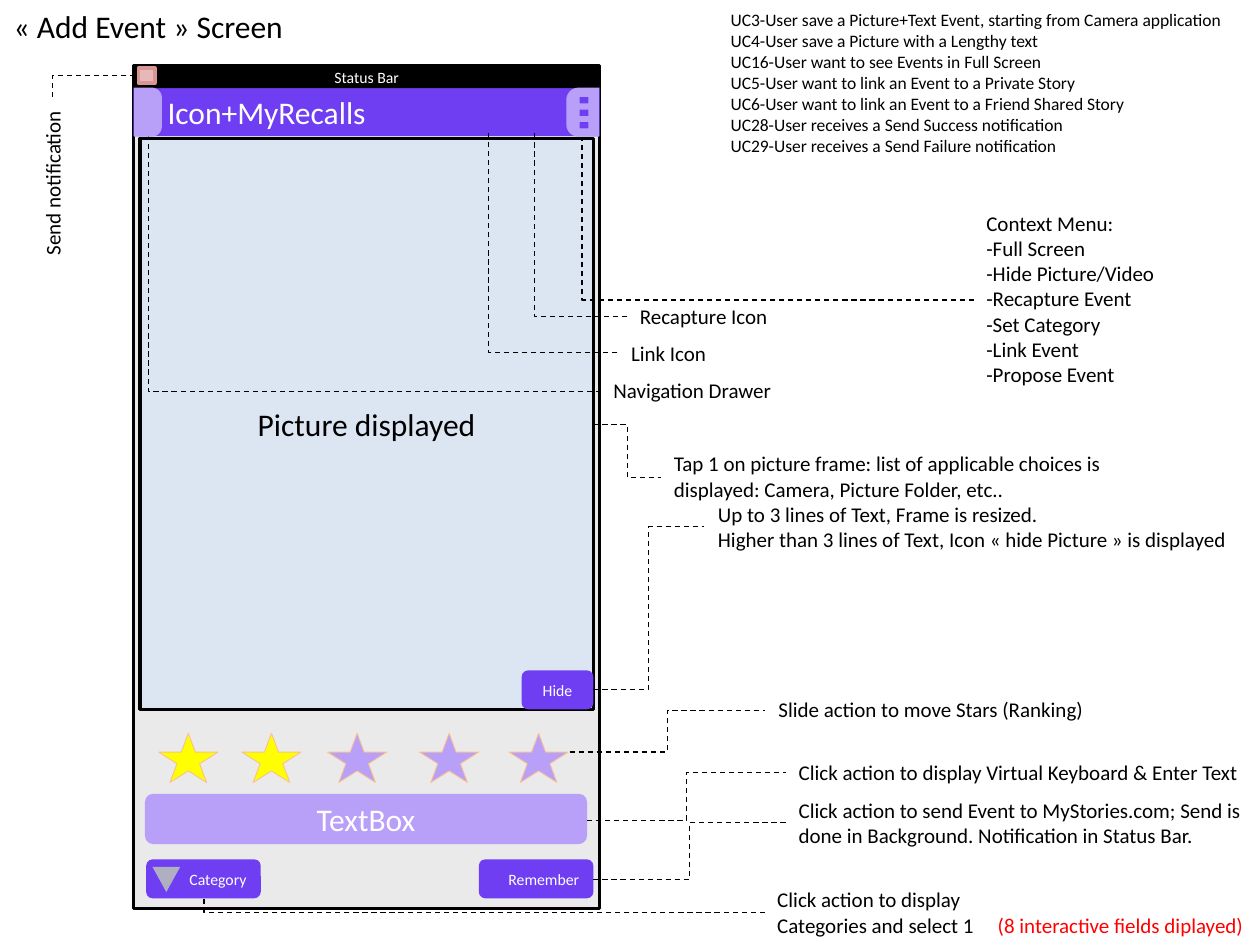
from lxml import etree
from pptx import Presentation
from pptx import util as u
from pptx.dml.color import RGBColor
from pptx.enum import dml, shapes, text
from pptx.oxml.ns import qn

PURPLE, LILAC, BLACK, WHITE = "6F3EF3", "B8A0F9", "000000", "FFFFFF"
SH, AL = shapes.MSO_SHAPE, text.PP_ALIGN
PHONE = (1.06, 0.52, 3.7, 6.69)


def inch(n):
    return u.Cm(n * 2.54)


def rgb(value):
    return RGBColor.from_string(value)


def set_text(tf, lines, size, color, align=AL.LEFT, **frame):
    for name, value in frame.items():
        setattr(tf, name, value)
    for i, line in enumerate(lines):
        p = tf.paragraphs[0] if i == 0 else tf.add_paragraph()
        p.alignment = align
        r = p.add_run()
        r.text = line
        for name, value in {"name": "Calibri", "size": u.Pt(size)}.items():
            setattr(r.font, name, value)
        r.font.color.rgb = rgb(color)


def add_shape(s, kind, box, fill, line=None, adj=None, rotation=0):
    sp = s.shapes.add_shape(kind, *map(inch, box))
    sp.shadow.inherit = False
    sp.rotation = rotation
    sp.fill.solid()
    sp.fill.fore_color.rgb = rgb(fill)
    if line:
        sp.line.color.rgb, sp.line.width = rgb(line[0]), u.Pt(line[1])
    else:
        sp.line.fill.background()
    if adj is not None:
        sp.adjustments[0] = adj
    return sp


def add_panel(s, kind, box, fill, label, size, color=WHITE, align=AL.CENTER,
              line=None, **frame):
    """A shape that carries a label, centred vertically."""
    sp = add_shape(s, kind, box, fill, line)
    set_text(sp.text_frame, [label], size, color, align,
             vertical_anchor=text.MSO_ANCHOR.MIDDLE, **frame)


def add_note(s, box, lines, size=12, color=BLACK, wrap=False, rotation=0):
    sp = s.shapes.add_textbox(*map(inch, box))
    sp.rotation = rotation
    set_text(sp.text_frame, lines, size, color, word_wrap=wrap,
             auto_size=text.MSO_AUTO_SIZE.SHAPE_TO_FIT_TEXT)


def add_leader(s, start, end, corner=False):
    """A dashed elbow line; with corner it bends once, horizontal part first."""
    c = s.shapes.add_connector(shapes.MSO_CONNECTOR.ELBOW,
                               *map(inch, (*start, *end)))
    for name, value in {"width": u.Pt(0.75),
                        "dash_style": dml.MSO_LINE.DASH}.items():
        setattr(c.line, name, value)
    c.line.color.rgb = rgb(BLACK)
    sp_pr = c._element.spPr
    etree.SubElement(sp_pr, qn("a:effectLst"))
    if corner:
        sp_pr.find(qn("a:prstGeom")).set("prst", "bentConnector2")


def draw_phone(s, x, y, w, h):
    add_shape(s, SH.RECTANGLE, (x, y, w, h), "EAEAEA", (BLACK, 1.5))
    add_panel(s, SH.RECTANGLE, (x, y + 0.17, w, 0.39), PURPLE,
              "Icon+MyRecalls", 18, align=AL.LEFT, margin_left=inch(0.27))
    add_panel(s, SH.RECTANGLE, (x, y, w, 0.18), BLACK, "Status Bar", 9)
    add_panel(s, SH.RECTANGLE, (x + 0.05, y + 0.58, 3.6, 4.53), "DCE6F2",
              "Picture displayed", 18, BLACK, line=(BLACK, 2))
    add_panel(s, SH.ROUNDED_RECTANGLE, (x + 3.08, y + 4.8, 0.57, 0.31),
              PURPLE, "Hide", 9)
    for i, left in enumerate((0.2, 0.86, 1.54, 2.27, 2.98)):
        add_shape(s, SH.STAR_5_POINT, (x + left, y + 5.3, 0.47, 0.39),
                  "FFFF00" if i < 2 else LILAC, ("FAC090", 0.5))
    add_panel(s, SH.ROUNDED_RECTANGLE, (x + 0.09, y + 5.78, 3.51, 0.4),
              LILAC, "TextBox", 18)
    for left, label in ((0.1, "Category"), (2.74, "Remember")):
        add_panel(s, SH.ROUNDED_RECTANGLE, (x + left, y + 6.3, 0.91, 0.31),
                  PURPLE, label, 9, align=AL.RIGHT)
    add_shape(s, SH.FLOWCHART_MERGE, (x + 0.15, y + 6.36, 0.22, 0.2), "B0AFC1")


def draw_phone_icons(s, x, y, w, h):
    add_shape(s, SH.RECTANGLE, (x + 0.04, y + 0.02, 0.13, 0.12), "E6B9B8",
              ("D99694", 2))
    for left, top, height, turn in ((-0.08, 0.26, 0.22, 90),
                                    (3.37, 0.24, 0.26, 270)):
        add_shape(s, SH.ROUND_2_SAME_RECTANGLE,
                  (x + left, y + top, 0.39, height), LILAC, adj=0.37,
                  rotation=turn)
    for i in range(3):
        add_shape(s, SH.RECTANGLE, (x + 3.54, y + 0.25 + i * 0.1, 0.07, 0.05),
                  PURPLE)


def draw_leaders(s):
    corners = [((6.07, 7.24), (1.62, 7.13)), ((4.77, 3.11), (1.18, 1.08)),
               ((7.73, 2.38), (4.62, 1.09)), ((4.9, 2.8), (3.88, 1.04)),
               ((4.98, 2.51), (4.24, 1.06)), ((1.29, 0.6), (0.42, 0.77))]
    steps = [((4.66, 6.51), (6.24, 6.13)), ((4.71, 6.98), (6.24, 6.53)),
             ((4.52, 5.97), (6.07, 5.64)), ((4.71, 3.37), (5.25, 3.79)),
             ((4.71, 5.47), (5.59, 4.18))]
    for start, end in corners:
        add_leader(s, start, end, corner=True)
    for start, end in steps:
        add_leader(s, start, end)


def draw_notes(s):
    add_note(s, (0.01, 0.01, 2.35, 0.4), ["« Add Event » Screen"], 18)
    add_note(s, (5.7, 0.02, 4.12, 1.27), [
        "UC3-User save a Picture+Text Event, starting from Camera application",
        "UC4-User save a Picture with a Lengthy text",
        "UC16-User want to see Events in Full Screen",
        "UC5-User want to link an Event to a Private Story",
        "UC6-User want to link an Event to a Friend Shared Story",
        "UC28-User receives a Send Success notification",
        "UC29-User receives a Send Failure notification"], 10)
    add_note(s, (7.73, 1.62, 1.6, 1.5), [
        "Context Menu:", "-Full Screen", "-Hide Picture/Video",
        "-Recapture Event", "-Set Category", "-Link Event", "-Propose Event"])
    add_note(s, (5.6, 3.93, 4.26, 0.5), [
        "Up to 3 lines of Text, Frame is resized.",
        "Higher than 3 lines of Text, Icon « hide Picture » is displayed"])
    for box, label in (
            ((4.98, 2.36, 1.22, 0.3), "Recapture Icon"),
            ((4.91, 2.65, 0.85, 0.3), "Link Icon"),
            ((4.77, 2.95, 1.46, 0.3), "Navigation Drawer"),
            ((6.08, 5.48, 2.63, 0.3), "Slide action to move Stars (Ranking)"),
            ((6.24, 5.98, 3.71, 0.3),
             "Click action to display Virtual Keyboard & Enter Text")):
        add_note(s, box, [label])
    for box, label in (
            ((5.25, 3.53, 3.63, 0.5), "Tap 1 on picture frame: list of "
             "applicable choices is displayed: Camera, Picture Folder, etc.."),
            ((6.24, 6.28, 3.76, 0.5), "Click action to send Event to "
             "MyStories.com; Send is done in Background. "
             "Notification in Status Bar."),
            ((6.07, 6.99, 1.82, 0.5),
             "Click action to display Categories and select 1")):
        add_note(s, box, [label], wrap=True)
    add_note(s, (7.82, 7.19, 2.16, 0.3), ["(8 interactive fields diplayed)"],
             color="FF0000")
    add_note(s, (-0.26, 1.3, 1.35, 0.3), ["Send notification"], rotation=270)


def main():
    prs = Presentation()
    prs.slide_width, prs.slide_height = inch(10), inch(7.5)
    s = prs.slides.add_slide(prs.slide_layouts[6])
    draw_phone(s, *PHONE)
    draw_leaders(s)
    draw_phone_icons(s, *PHONE)
    draw_notes(s)
    prs.save("out.pptx")


if __name__ == "__main__":
    main()
